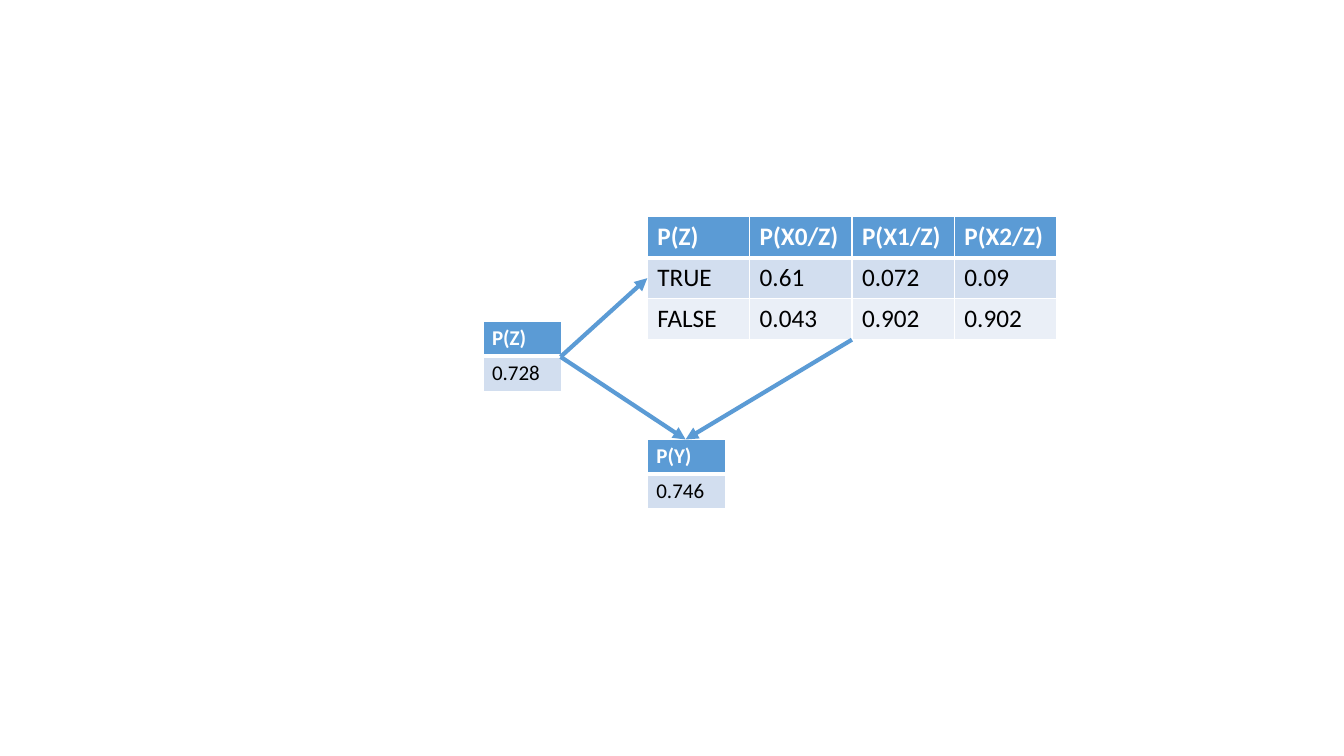
"""Draws three linked probability tables."""
import pptx
import pptx.dml.color
import pptx.enum.shapes
import pptx.oxml
import pptx.oxml.ns
import pptx.util
from lxml import etree

Inches = pptx.util.Inches
Pt = pptx.util.Pt
qn = pptx.oxml.ns.qn
COLORS = {"blue": "5B9BD5", "pale": "D2DEEF", "light": "EAEFF7",
          "white": "FFFFFF", "black": "000000"}


def rgb(name):
    """Return the named colour."""
    return pptx.dml.color.RGBColor.from_string(COLORS[name])


class Board:
    """Holds the style and the current slide."""

    font = "Calibri"
    bands = ("blue", "pale", "light")

    def __init__(self, slide):
        """Keep the slide to draw on."""
        self.slide = slide

    def border(self, cell, head):
        """Give a cell white edges, thick below the header."""
        props = cell._tc.get_or_add_tcPr()
        for spot, side in enumerate("LRTB"):
            width = Pt(3 if head and side == "B" else 1)
            edge = etree.Element(qn("a:ln" + side), w=str(width))
            fill = etree.SubElement(edge, qn("a:solidFill"))
            etree.SubElement(fill, qn("a:srgbClr"), val=COLORS["white"])
            props.insert(spot, edge)

    def table(self, left, top, width, height, rows, size, pad):
        """Add a table with even columns and rows."""
        grid = self.slide.shapes.add_table(
            len(rows), len(rows[0]), Inches(left), Inches(top),
            Inches(width), Inches(height)).table
        side, edge = pad
        margins = {"margin_left": side, "margin_right": side,
                   "margin_top": edge, "margin_bottom": edge}
        for r, row in enumerate(rows):
            head = r == 0
            style = {"name": self.font, "size": Pt(size), "bold": head}
            for c, text in enumerate(row):
                cell = grid.cell(r, c)
                cell.text = text
                for key, value in margins.items():
                    setattr(cell, key, Inches(value))
                cell.fill.solid()
                cell.fill.fore_color.rgb = rgb(self.bands[r])
                font = cell.text_frame.paragraphs[0].runs[0].font
                for key, value in style.items():
                    setattr(font, key, value)
                font.color.rgb = rgb("white" if head else "black")
                self.border(cell, head)

    def arrow(self, start, end):
        """Add a straight arrow between two points."""
        line = self.slide.shapes.add_connector(
            pptx.enum.shapes.MSO_CONNECTOR.STRAIGHT,
            *(Inches(value) for value in start + end))
        line.line.color.rgb = rgb("blue")
        line.line.width = Pt(3)
        props = line.element.spPr
        etree.SubElement(props.find(qn("a:ln")), qn("a:tailEnd"),
                         type="triangle")
        etree.SubElement(props, qn("a:effectLst"))


deck = pptx.Presentation()
deck.slide_width, deck.slide_height = Inches(13.33), Inches(7.5)
board = Board(deck.slides.add_slide(deck.slide_layouts[6]))

small = {"width": 0.78, "height": 0.69, "size": 15, "pad": (0.09, 0.04)}
board.table(4.79, 3.19, rows=[["P(Z)"], ["0.728"]], **small)
board.table(6.42, 4.36, rows=[["P(Y)"], ["0.746"]], **small)
board.table(6.42, 2.15, 4.06, 1.22, [
    ["P(Z)", "P(X0/Z)", "P(X1/Z)", "P(X2/Z)"],
    ["TRUE", "0.61", "0.072", "0.09"],
    ["FALSE", "0.043", "0.902", "0.902"],
], 18, (0.1, 0.05))

z_side, y_top = (5.56, 3.54), (6.8, 4.36)
x_base, x_side = (8.45, 3.37), (6.42, 2.76)
for start, end in ((x_base, y_top), (z_side, y_top), (z_side, x_side)):
    board.arrow(start, end)

deck.save("out.pptx")
